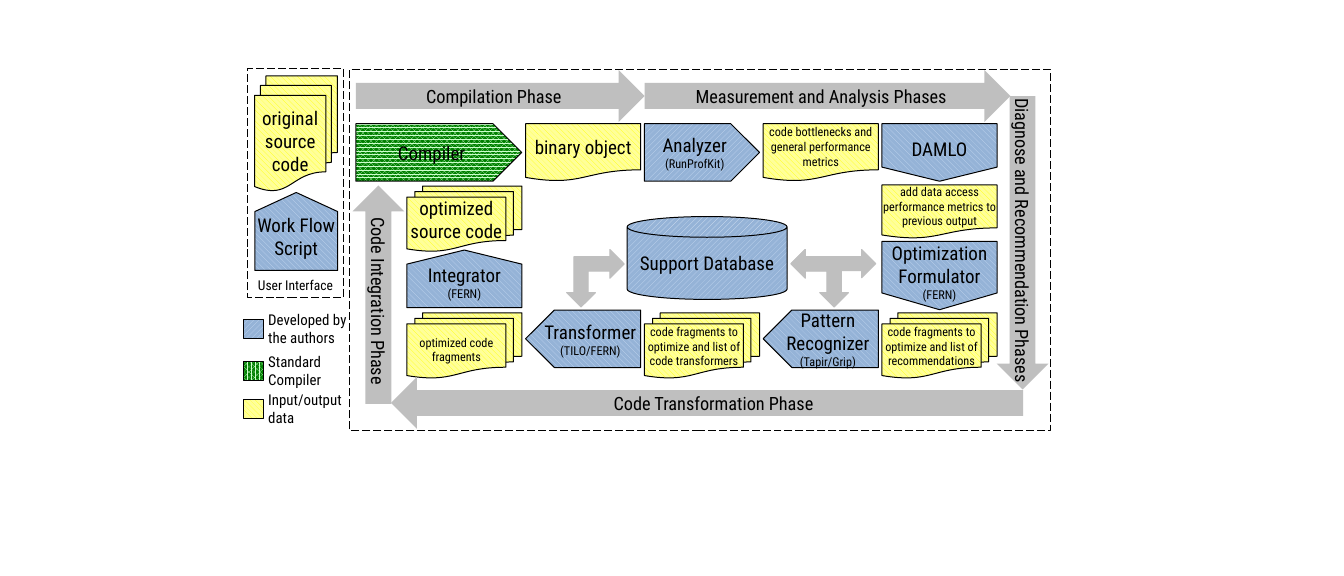
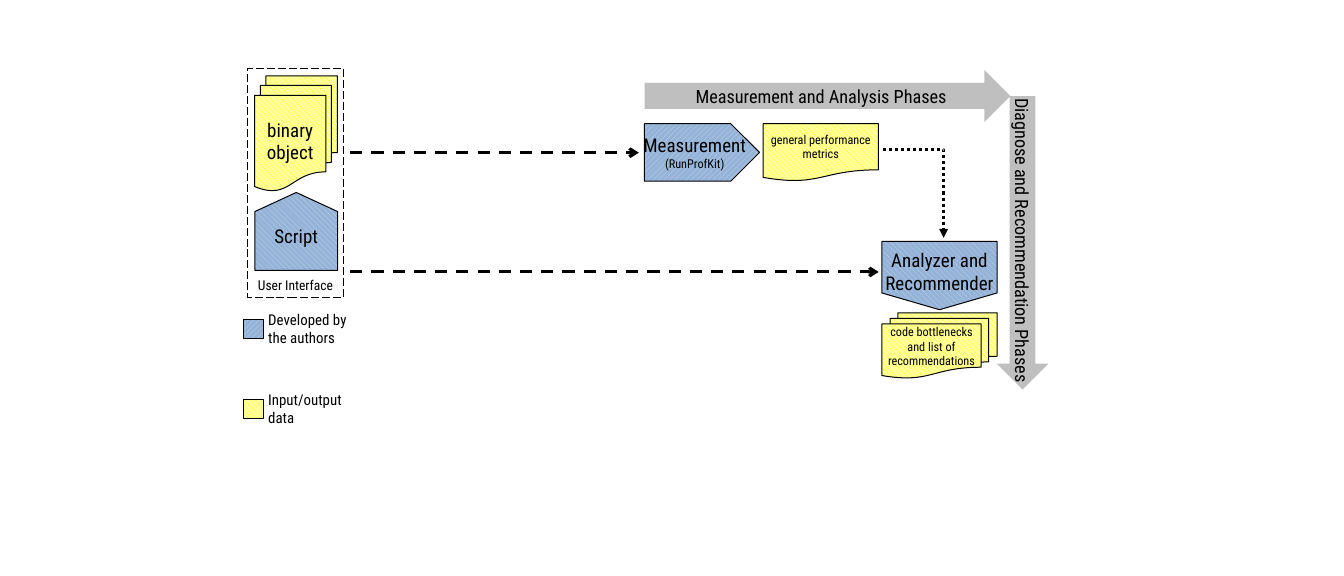
from dataclasses import dataclass

from lxml import etree
from pptx import Presentation
from pptx.dml.color import RGBColor
from pptx.enum.dml import MSO_LINE as Dash, MSO_PATTERN as Pattern
from pptx.enum.shapes import MSO_CONNECTOR as Connector, MSO_SHAPE as Kind
from pptx.enum.text import MSO_ANCHOR as Anchor, PP_ALIGN as Align
from pptx.oxml.ns import qn
from pptx.util import Pt


@dataclass(frozen=True)
class Paint:
    back: str
    fore: str = ""
    pattern: object = None


@dataclass(frozen=True)
class Theme:
    font: str = "Roboto Condensed"
    ink: str = "000000"
    paper: Paint = Paint("FFFFFF")
    phase: Paint = Paint("BFBFBF")
    own_up: Paint = Paint("95B3D7", "C6D9F1", Pattern.WIDE_UPWARD_DIAGONAL)
    own_down: Paint = Paint("95B3D7", "C6D9F1", Pattern.WIDE_DOWNWARD_DIAGONAL)
    standard: Paint = Paint("008000", "CCFFCC", Pattern.PERCENT_75)
    data: Paint = Paint("FFFF99", "FFFF00", Pattern.WIDE_DOWNWARD_DIAGONAL)
    name_size: float = 14
    phase_size: float = 13.5
    legend_size: float = 11
    frame_size: float = 10
    note_size: float = 9
    outline: float = 0.75
    flow: float = 2.25


THEME = Theme()
COLUMNS = [300.3 + 87.7 * index for index in range(5)]
CELL_WIDTH, CELL_HEIGHT, STACK_HEIGHT = 85, 42.5, 48.2
TOP_ROW, LOW_ROW, STACK_ROW = 91.4, 229, 231.1
ARROW_BREADTH = 38.2
STACK_INSETS = (0, 0, 0, 5)
UPRIGHT = {90: "vert270", 270: "vert"}


def color(value):
    return RGBColor.from_string(value)


def write_text(box, text, note="", size=THEME.name_size, insets=(0, 0, 0, 0),
               anchor=Anchor.MIDDLE, align=Align.CENTER, wrap=True, direction=None):
    frame = box.text_frame
    frame.word_wrap = wrap
    frame.vertical_anchor = anchor
    frame.margin_left, frame.margin_top, frame.margin_right, frame.margin_bottom = map(Pt, insets)
    if direction:
        frame._txBody.bodyPr.set("vert", direction)
    lines = [(line, size) for line in text.split("\n")]
    if note:
        lines.append((note, THEME.note_size))
    for index, (line, line_size) in enumerate(lines):
        para = frame.add_paragraph() if index else frame.paragraphs[0]
        para.alignment = align
        span = para.add_run()
        span.text = line
        span.font.name = THEME.font
        span.font.size = Pt(line_size)
        span.font.color.rgb = color(THEME.ink)


def apply_paint(shape, paint):
    fill = shape.fill
    if paint.pattern is None:
        fill.solid()
        fill.fore_color.rgb = color(paint.back)
    else:
        fill.patterned()
        fill.pattern = paint.pattern
        fill.fore_color.rgb = color(paint.fore)
        fill.back_color.rgb = color(paint.back)


def add_block(page, kind, left, top, width, height, paint, text="", turn=0,
              flip=False, line=THEME.ink, dash=None, **style):
    if turn in UPRIGHT:
        left, top = left + (width - height) / 2, top + (height - width) / 2
        width, height = height, width
    shape = page.shapes.add_shape(kind, Pt(left), Pt(top), Pt(width), Pt(height))
    shape.shadow.inherit = False
    shape.rotation = turn
    if flip:
        shape._element.spPr.xfrm.set("flipH", "1")
    apply_paint(shape, paint)
    if line:
        shape.line.color.rgb = color(line)
        shape.line.width = Pt(THEME.outline)
        if dash:
            shape.line.dash_style = dash
    else:
        shape.line.fill.background()
    if text:
        write_text(shape, text, **style)
    return shape


def add_cell(page, kind, column, top, paint, text, height=CELL_HEIGHT, **style):
    return add_block(page, kind, COLUMNS[column], top, CELL_WIDTH, height, paint, text, **style)


def add_document(page, column, top, text, height=CELL_HEIGHT, size=THEME.note_size):
    add_cell(page, Kind.FLOWCHART_DOCUMENT, column, top, THEME.data, text, height=height, size=size)


def add_stack(page, column, top, text, size=THEME.note_size, insets=STACK_INSETS):
    add_cell(page, Kind.FLOWCHART_MULTIDOCUMENT, column, top, THEME.data, text,
             height=STACK_HEIGHT, size=size, insets=insets)


def add_pointer(page, left, top, width, height, text, turn, note=""):
    shape = add_block(page, Kind.PENTAGON, left, top, width, height, THEME.own_down, text,
                      turn=turn, note=note, direction=UPRIGHT[turn])
    shape.adjustments[0] = 0.245


def add_phase(page, left, top, width, height, text, insets=(0, 3.6, 0, 3.6), **style):
    add_block(page, Kind.RIGHT_ARROW, left, top, width, height, THEME.phase, text,
              line=None, size=THEME.phase_size, insets=insets, **style)


def add_joint(page, kind, left, width, height, turn):
    add_block(page, kind, left, 184.3, width, height, THEME.phase, turn=turn, line=THEME.phase.back)


def add_legend(page, top, paint, text):
    add_block(page, Kind.RECTANGLE, 180, top, 14.4, 14.4, paint)
    box = page.shapes.add_textbox(Pt(198), Pt(top - 6.3), Pt(60.5), Pt(26.6))
    write_text(box, text, size=THEME.legend_size, anchor=Anchor.TOP, align=Align.LEFT)


def add_flow(page, start, end, dash, head, bent=False):
    kind = Connector.ELBOW if bent else Connector.STRAIGHT
    line = page.shapes.add_connector(kind, *map(Pt, start + end))
    line.line.color.rgb = color(THEME.ink)
    line.line.width = Pt(THEME.flow)
    line.line.dash_style = dash
    properties = line._element.spPr
    if bent:
        properties.find(qn("a:prstGeom")).set("prst", "bentConnector2")
    etree.SubElement(properties.find(qn("a:ln")), qn("a:tailEnd"), type=head)
    etree.SubElement(properties, qn("a:effectLst"))


def add_shared(page, source, script, tool, metrics):
    add_block(page, Kind.RECTANGLE, 182.5, 51, 71.3, 168.5, THEME.paper, "User Interface",
              dash=Dash.LONG_DASH, size=THEME.frame_size, insets=(0, 2.9, 0, 2.9), anchor=Anchor.BOTTOM)
    add_block(page, Kind.FLOWCHART_MULTIDOCUMENT, 187.9, 56, 61.2, 85, THEME.data, source)
    add_pointer(page, 188.1, 142.2, 61.2, 57.6, script, 270)
    add_cell(page, Kind.PENTAGON, 2, TOP_ROW, THEME.own_up, tool, note="(RunProfKit)", wrap=False)
    add_document(page, 3, TOP_ROW, metrics)
    add_phase(page, 475.9, 51.8, 270, ARROW_BREADTH, "Measurement and Analysis Phases")
    add_phase(page, 735.8, 71, ARROW_BREADTH, 216.7, "Diagnose and Recommendation Phases",
              turn=90, insets=(5.8, 3.6, 0, 3.6), wrap=False)
    add_legend(page, 236, THEME.own_up, "Developed by the authors")
    add_legend(page, 295, THEME.data, "Input/output data")


def build_workflow(page):
    add_block(page, Kind.RECTANGLE, 258.2, 51, 517, 267.1, THEME.paper, dash=Dash.LONG_DASH)
    add_shared(page, "original\nsource\ncode", "Work Flow Script", "Analyzer",
               "code bottlenecks and general performance metrics")
    add_legend(page, 267, THEME.standard, "Standard Compiler")

    add_block(page, Kind.PENTAGON, 262.8, TOP_ROW, 122.4, CELL_HEIGHT, THEME.standard, "Compiler")
    add_document(page, 1, TOP_ROW, "binary object", size=THEME.name_size)
    add_pointer(page, COLUMNS[4], TOP_ROW, CELL_WIDTH, CELL_HEIGHT, "DAMLO", 90)
    add_document(page, 4, 136.6, "add data access\nperformance metrics to previous output", height=39.6)
    add_pointer(page, COLUMNS[4], 178.4, CELL_WIDTH, 50.4, "Optimization Formulator", 90, note="(FERN)")

    add_stack(page, 4, STACK_ROW, "code fragments to\noptimize and list of\nrecommendations")
    add_stack(page, 2, STACK_ROW, "code fragments to optimize and list of code transformers")
    add_stack(page, 0, STACK_ROW, "optimized code fragments", insets=(0, 0, 0, 0))
    for column, name, note in ((3, "Pattern Recognizer", "(Tapir/Grip)"),
                               (1, "Transformer", "(TILO/FERN)")):
        add_cell(page, Kind.PENTAGON, column, LOW_ROW, THEME.own_down, name, note=note, flip=True)
    add_pointer(page, COLUMNS[0], 184.7, CELL_WIDTH, CELL_HEIGHT, "Integrator", 270, note="(FERN)")
    add_stack(page, 0, 137.5, "optimized\nsource code", size=THEME.name_size)

    add_block(page, Kind.CAN, 463, 160, 118.1, 61.2, THEME.own_up, "Support Database", wrap=False)
    add_joint(page, Kind.UP_DOWN_ARROW, 583.9, 62.6, 20.9, 90)
    add_joint(page, Kind.LEFT_UP_ARROW, 418.3, 42.5, 42.5, 180)
    add_joint(page, Kind.LEFT_UP_ARROW, 583.9, 42.5, 42.5, 270)

    add_phase(page, 262.8, 51.8, 213.1, ARROW_BREADTH, "Compilation Phase")
    add_phase(page, 288.7, 278.6, 466.6, ARROW_BREADTH, "Code Transformation Phase", flip=True)
    add_phase(page, 260.3, 137, ARROW_BREADTH, 161.3, "Code Integration Phase", turn=90, flip=True)


def build_measurement(page):
    add_shared(page, "binary object", "Script", "Measurement", "general performance metrics")
    add_pointer(page, COLUMNS[4], 178.4, CELL_WIDTH, 50.4, "Analyzer and\nRecommender", 90)
    add_stack(page, 4, STACK_ROW, "code bottlenecks and list of\nrecommendations")
    add_flow(page, (258.5, 112.8), (471.6, 112.8), Dash.DASH, "arrow")
    add_flow(page, (258.5, 200.9), (648.7, 200.9), Dash.DASH, "arrow")
    add_flow(page, (651.8, 110.2), (696.7, 175.7), Dash.ROUND_DOT, "triangle", bent=True)


def main():
    deck = Presentation()
    deck.slide_width, deck.slide_height = Pt(992.2), Pt(425.5)
    blank = deck.slide_layouts[6]
    for build in (build_workflow, build_measurement):
        build(deck.slides.add_slide(blank))
    deck.save("out.pptx")


main()
